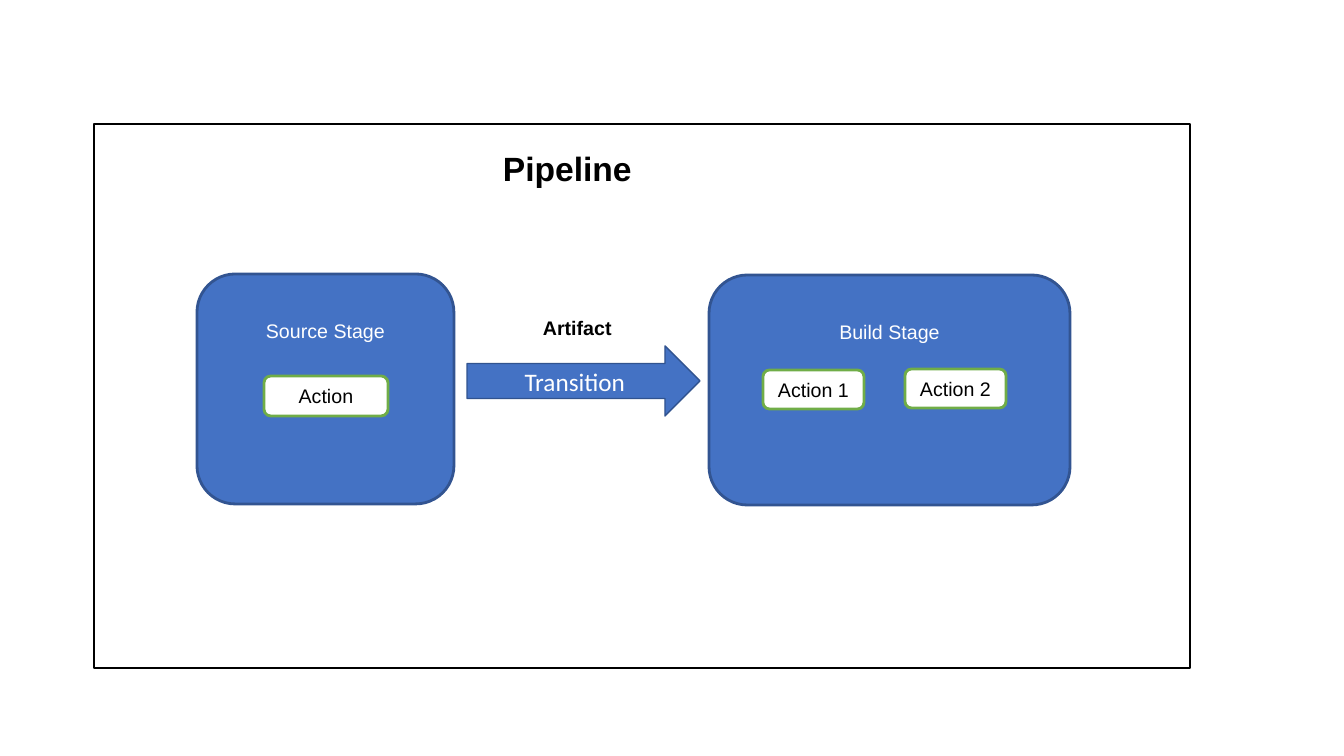
from pptx import Presentation
from pptx.dml.color import RGBColor
from pptx.enum.shapes import MSO_SHAPE
from pptx.enum.text import MSO_ANCHOR, PP_ALIGN
from pptx.util import Pt

EMU_PER_PIXEL = 914400 / 100.8
BLUE, WHITE, BLACK, GREEN = "4472C4", "FFFFFF", "000000", "70AD47"
STAGE_LINE, ARROW_LINE = "325491", "31538F"


def add_box(slide, kind, box, fill, line, line_width):
    """Add a preset shape at a pixel box; a fill of None leaves it empty."""
    shape = slide.shapes.add_shape(kind, *[round(v * EMU_PER_PIXEL) for v in box])
    shape.shadow.inherit = False
    if fill:
        shape.fill.solid()
        shape.fill.fore_color.rgb = RGBColor.from_string(fill)
    else:
        shape.fill.background()
    shape.line.color.rgb = RGBColor.from_string(line)
    shape.line.width = Pt(line_width)
    return shape


def write(shape, text, size, color, bold=False, font="Arial",
          align=PP_ALIGN.CENTER, anchor=MSO_ANCHOR.MIDDLE):
    """Write one run of text into a shape."""
    frame = shape.text_frame
    frame.word_wrap = True
    frame.vertical_anchor = anchor
    paragraph = frame.paragraphs[0]
    paragraph.alignment = align
    run = paragraph.add_run()
    run.text = text
    run.font.name = font
    run.font.size = Pt(size)
    run.font.bold = bold
    run.font.color.rgb = RGBColor.from_string(color)


presentation = Presentation()
presentation.slide_width = round(1344 * EMU_PER_PIXEL)
presentation.slide_height = round(756 * EMU_PER_PIXEL)
slide = presentation.slides.add_slide(presentation.slide_layouts[6])

# Pipeline frame
add_box(slide, MSO_SHAPE.RECTANGLE, (94, 124, 1096, 544), None, BLACK, 1)

# Transition between the stages
transition = add_box(slide, MSO_SHAPE.RIGHT_ARROW, (467, 346, 233, 70),
                     BLUE, ARROW_LINE, 1)
write(transition, "Transition", 18, WHITE, font="Calibri")

# Stages, with their names in the upper part
stages = [
    ("Source Stage", (197, 274, 257, 230)),
    ("Build Stage", (709, 275, 361, 230)),
]
for name, box in stages:
    stage = add_box(slide, MSO_SHAPE.ROUNDED_RECTANGLE, box, BLUE, STAGE_LINE, 2)
    write(stage, name, 14, WHITE, anchor=MSO_ANCHOR.TOP)
    stage.text_frame.margin_top = round(34 * EMU_PER_PIXEL)

# Actions inside the stages
actions = [
    ("Action", (264, 376, 124, 40)),
    ("Action 1", (763, 370, 101, 39)),
    ("Action 2", (905, 369, 101, 39)),
]
for name, box in actions:
    action = add_box(slide, MSO_SHAPE.ROUNDED_RECTANGLE, box, WHITE, GREEN, 2)
    write(action, name, 14, BLACK)

# Headings
headings = [
    ("Pipeline", 24, (493, 143, 178, 50)),
    ("Artifact", 14, (533, 311, 97, 33)),
]
for text, size, box in headings:
    heading = slide.shapes.add_textbox(*[round(v * EMU_PER_PIXEL) for v in box])
    write(heading, text, size, BLACK, bold=True,
          align=PP_ALIGN.LEFT, anchor=MSO_ANCHOR.TOP)

presentation.save("out.pptx")
